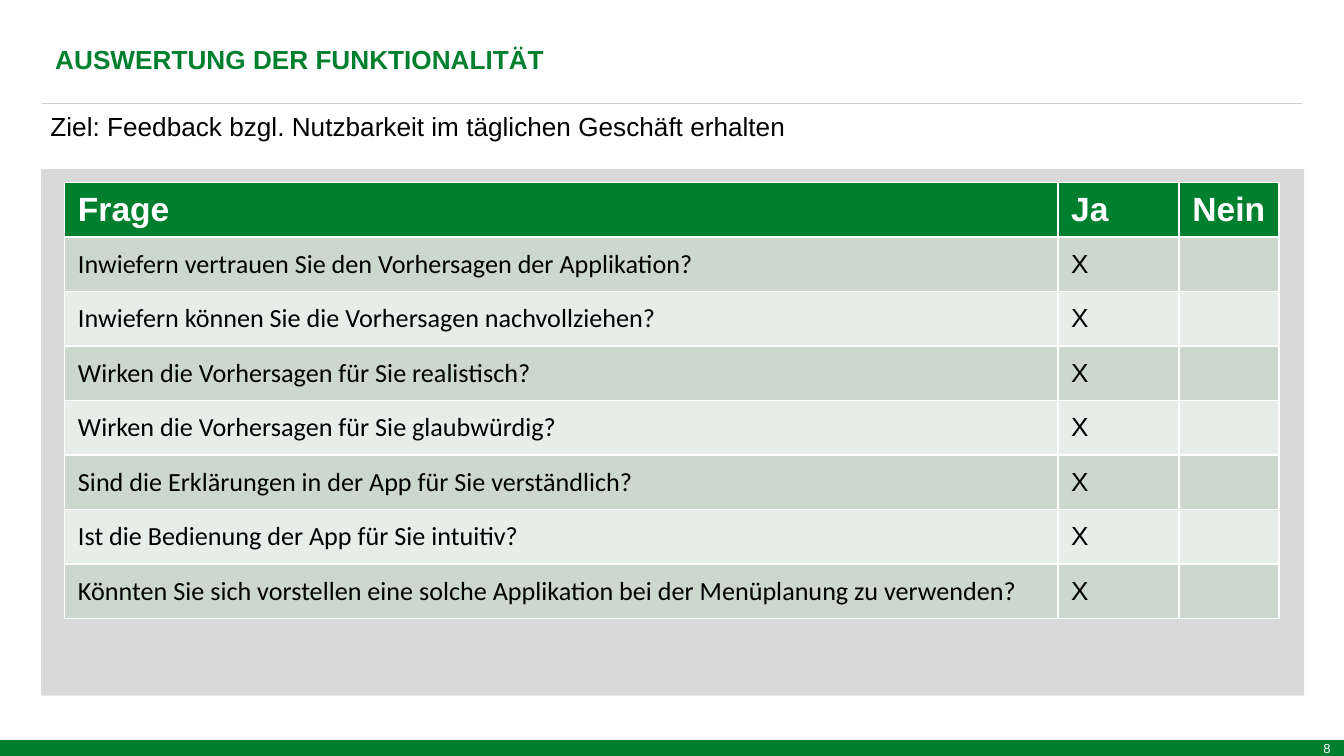
from lxml import etree
from pptx import Presentation
from pptx.dml.color import RGBColor
from pptx.enum.shapes import MSO_CONNECTOR, MSO_SHAPE
from pptx.enum.text import MSO_ANCHOR, MSO_AUTO_SIZE, PP_ALIGN
from pptx.oxml.ns import qn
from pptx.util import Cm, Pt

RECT = MSO_SHAPE.RECTANGLE
LINE = MSO_CONNECTOR.STRAIGHT
MIDDLE = MSO_ANCHOR.MIDDLE
NO_FIT = MSO_AUTO_SIZE.NONE
LEFT, RIGHT = PP_ALIGN.LEFT, PP_ALIGN.RIGHT

GREEN = RGBColor(0x00, 0x80, 0x2F)
GREY = RGBColor(0xD9, 0xD9, 0xD9)
RULE = RGBColor(0xCC, 0xCC, 0xCC)
DARK = RGBColor(0xCC, 0xD8, 0xCD)
LIGHT = RGBColor(0xE7, 0xED, 0xE8)
WHITE = RGBColor(0xFF, 0xFF, 0xFF)
BLACK = RGBColor(0x00, 0x00, 0x00)

HEADS = ["Frage", "Ja", "Nein"]
ASKED = [
    "Inwiefern vertrauen Sie den Vorhersagen der Applikation?",
    "Inwiefern können Sie die Vorhersagen nachvollziehen?",
    "Wirken die Vorhersagen für Sie realistisch?",
    "Wirken die Vorhersagen für Sie glaubwürdig?",
    "Sind die Erklärungen in der App für Sie verständlich?",
    "Ist die Bedienung der App für Sie intuitiv?",
    "Könnten Sie sich vorstellen eine solche Applikation bei der "
    "Menüplanung zu verwenden?",
]


class Deck:
    font = "Arial"
    size = 14

    def __init__(self, wide, high):
        self.prs = Presentation()
        self.prs.slide_width, self.prs.slide_height = Cm(wide), Cm(high)
        self.slide = self.prs.slides.add_slide(self.prs.slide_layouts[1])
        self.shapes = self.slide.shapes

    def style(self, para, color, size=None, bold=False, name=None):
        font = para.font
        font.name = name or self.font
        font.size = Pt(size or self.size)
        font.bold = bold
        font.color.rgb = color

    def holder(self, index, text, box, color, bold=False):
        """Fill a template placeholder with one plain line of text."""
        shape = self.slide.placeholders[index]
        shape.left, shape.top, shape.width, shape.height = map(Cm, box)
        frame = shape.text_frame
        frame.text = text
        frame.word_wrap = True
        frame.auto_size = NO_FIT
        frame.vertical_anchor = MIDDLE
        para = frame.paragraphs[0]
        para.alignment = LEFT
        para.space_before = Pt(0)
        props = para._p.get_or_add_pPr()
        props.set("marL", "0")
        props.set("indent", "0")
        etree.SubElement(props, qn("a:buNone"))
        self.style(para, color, bold=bold)

    def rect(self, box, fill, text=""):
        shape = self.shapes.add_shape(RECT, *map(Cm, box))
        shape.shadow.inherit = False
        shape.fill.solid()
        shape.fill.fore_color.rgb = fill
        shape.line.fill.background()
        if text:
            frame = shape.text_frame
            frame.text = text
            frame.vertical_anchor = MIDDLE
            para = frame.paragraphs[0]
            para.alignment = RIGHT
            self.style(para, WHITE, 7)

    def rule(self, left, right, top):
        line = self.shapes.add_connector(
            LINE, Cm(left), Cm(top), Cm(right), Cm(top))
        line.line.color.rgb = RULE
        line.line.width = Pt(0.5)
        etree.SubElement(line._element.spPr, qn("a:effectLst"))

    def table(self, left, top, widths, high, rows):
        grid = self.shapes.add_table(
            len(rows), len(widths), Cm(left), Cm(top),
            Cm(sum(widths)), Cm(high * len(rows))).table
        for col, width in zip(grid.columns, widths):
            col.width = Cm(width)
        for i, row in enumerate(rows):
            grid.rows[i].height = Cm(high)
            fill = DARK if i % 2 else LIGHT
            for j, text in enumerate(row):
                cell = grid.cell(i, j)
                cell.text = text
                cell.vertical_anchor = MIDDLE
                cell.fill.solid()
                cell.fill.fore_color.rgb = fill if i else GREEN
                para = cell.text_frame.paragraphs[0]
                if i == 0:
                    self.style(para, WHITE, 18, True)
                else:
                    self.style(para, BLACK, name=None if j else "Calibri")


def main():
    deck = Deck(25.4, 14.29)
    deck.rect((0, 13.99, 25.4, 0.3), GREEN, "8")
    deck.rule(0.79, 24.61, 1.95)
    deck.holder(0, "AUSWERTUNG DER FUNKTIONALITÄT",
                (0.79, 0.69, 20, 0.86), GREEN, True)
    deck.holder(1, "Ziel: Feedback bzgl. Nutzbarkeit im täglichen Geschäft "
                "erhalten", (0.7, 1.95, 24.2, 0.86), BLACK)
    deck.rect((0.78, 3.2, 23.87, 9.95), GREY)
    rows = [HEADS] + [[text, "X", ""] for text in ASKED]
    deck.table(1.22, 3.45, (18.77, 2.29, 1.89), 1.03, rows)
    deck.prs.save("out.pptx")


if __name__ == "__main__":
    main()
